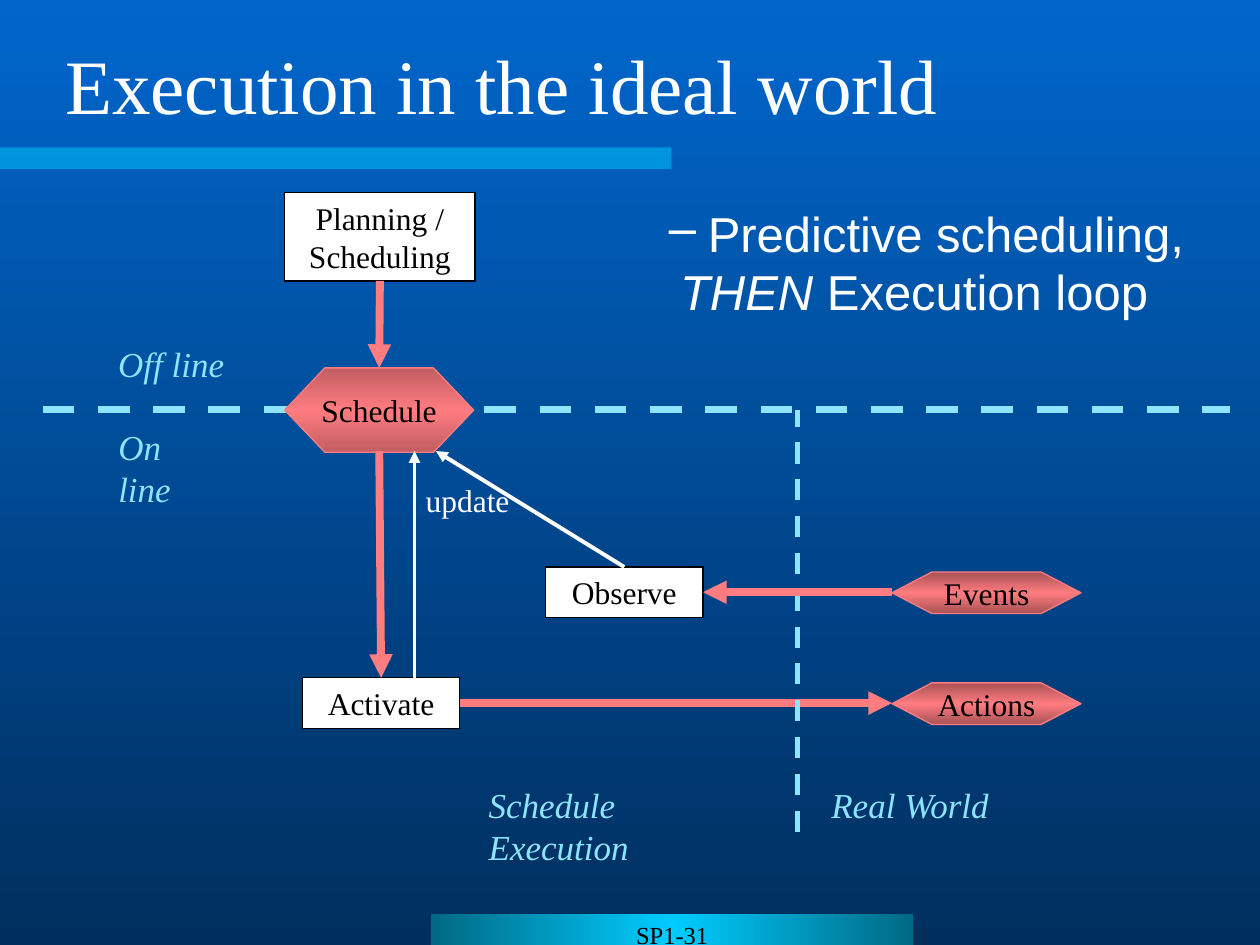
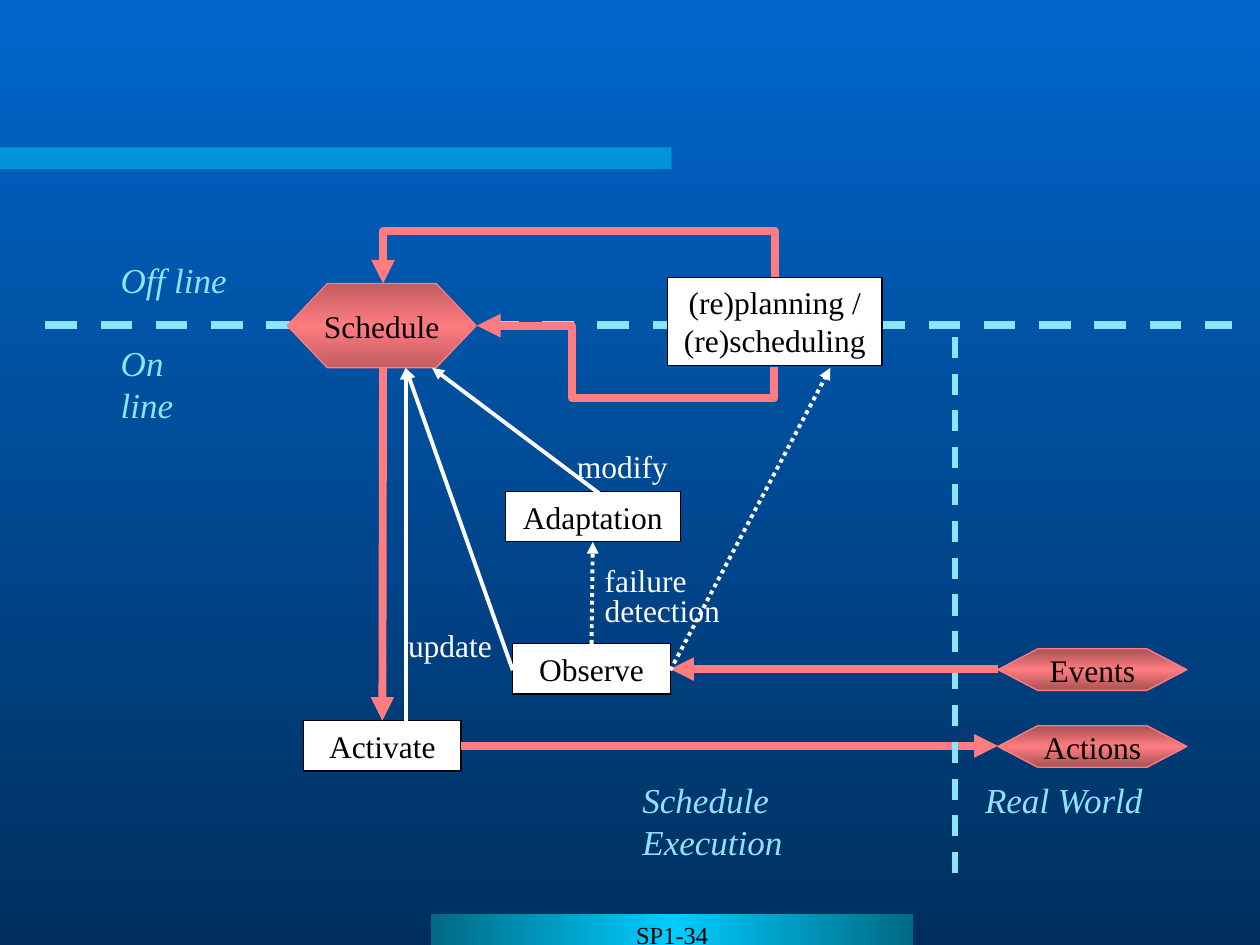
from copy import deepcopy

from lxml import etree
from pptx import Presentation
from pptx.dml.color import RGBColor
from pptx.enum.dml import MSO_LINE
from pptx.enum.shapes import MSO_CONNECTOR, MSO_SHAPE
from pptx.enum.text import MSO_ANCHOR, PP_ALIGN
from pptx.oxml.ns import qn
from pptx.util import Inches, Pt

RECTANGLE, HEXAGON = MSO_SHAPE.RECTANGLE, MSO_SHAPE.HEXAGON
STRAIGHT, ELBOW = MSO_CONNECTOR.STRAIGHT, MSO_CONNECTOR.ELBOW
DASH, DOTS = MSO_LINE.DASH, MSO_LINE.ROUND_DOT
CENTER, LEFT = PP_ALIGN.CENTER, PP_ALIGN.LEFT
TOP_ANCHOR, MIDDLE = MSO_ANCHOR.TOP, MSO_ANCHOR.MIDDLE
TOP, BOTTOM, RIGHT = 0, 2, 3

WHITE, BLACK = "FFFFFF", "000000"
SALMON, SKY, CYAN = "FF7C80", "8DE4FF", "00CCFF"
BACKGROUND = ["0066CC", "002F5E"]
FOOTER = ["006984", CYAN, "006984"]
DARK_ROSE = ["A85154", SALMON, "A85154"]
LIGHT_ROSE = ["C15D61", SALMON, "C15D61"]

SERIF, SANS = "Times New Roman", "Arial"
TITLE = {"name": SERIF, "size": Pt(44), "color": WHITE}
BODY = {"name": SANS, "size": Pt(28), "color": WHITE}
BOX = {"name": SERIF, "size": Pt(18), "color": BLACK}
NOTE = {"name": SERIF, "size": Pt(18), "color": WHITE}
ZONE = {"name": SERIF, "size": Pt(20), "color": SKY, "italic": True}
PAGE = {"name": SERIF, "size": Pt(14), "color": BLACK}

FLOW = {"color": SALMON, "width": Pt(4.5)}
FEEDBACK = {"color": WHITE, "width": Pt(2.25)}
FAILURE = {**FEEDBACK, "dash_style": DOTS}
AXIS = {"color": SKY, "width": Pt(4.5), "dash_style": DASH}
DIVIDER = {"color": SKY, "width": Pt(3), "dash_style": DASH}


def rgb(value):
    return RGBColor.from_string(value)


def apply_format(target, values):
    for name, value in values.items():
        if name == "color":
            target.color.rgb = rgb(value)
        else:
            setattr(target, name, value)


def paint_gradient(fill, colors, angle):
    fill.gradient()
    fill.gradient_angle = angle
    first = fill.gradient_stops[0]._gs
    for _ in colors[2:]:
        first.addnext(deepcopy(first))
    for index, (stop, color) in enumerate(zip(fill.gradient_stops, colors)):
        stop.position = index / (len(colors) - 1)
        stop.color.rgb = rgb(color)


def write(shape, lines, style, align=LEFT, anchor=TOP_ANCHOR, wrap=True, spacing=None):
    frame = shape.text_frame
    frame.word_wrap = wrap
    frame.vertical_anchor = anchor
    for index, line in enumerate(lines):
        paragraph = frame.add_paragraph() if index else frame.paragraphs[0]
        paragraph.alignment = align
        paragraph.line_spacing = spacing
        for text, changes in line if isinstance(line, list) else [(line, {})]:
            run = paragraph.add_run()
            run.text = text
            apply_format(run.font, {**style, **changes})


def add_block(slide, kind, area, outline=None):
    shape = slide.shapes.add_shape(kind, *map(Inches, area))
    shape.shadow.inherit = False
    if outline:
        apply_format(shape.line, {"color": outline, "width": Pt(0.75)})
    else:
        shape.line.fill.background()
    return shape


def add_box(slide, text, left, top, width=1.25, height=0.4):
    box = add_block(slide, RECTANGLE, (left, top, width, height), BLACK)
    box.fill.solid()
    box.fill.fore_color.rgb = rgb(WHITE)
    write(box, [text], BOX, CENTER)
    return box


def add_hexagon(slide, text, left, top, height, point, colors):
    hexagon = add_block(slide, HEXAGON, (left, top, 1.5, height), SALMON)
    hexagon.adjustments[0] = point
    paint_gradient(hexagon.fill, colors, 270)
    write(hexagon, [text], BOX, CENTER, MIDDLE, wrap=False)


def add_text(slide, lines, style, area, **layout):
    box = slide.shapes.add_textbox(*map(Inches, area))
    write(box, lines, style, **layout)
    return box


def add_label(slide, text, left, top, width, style=ZONE):
    add_text(slide, [text], style, (left, top, width, 0.4), wrap=False)


def finish_line(connector, style, arrow=True):
    apply_format(connector.line, style)
    if arrow:
        line = connector.line._get_or_add_ln()
        etree.SubElement(line, qn("a:tailEnd"), type="triangle")
    etree.SubElement(connector._element.spPr, qn("a:effectLst"))


def add_line(slide, start, end, style, arrow=True):
    connector = slide.shapes.add_connector(STRAIGHT, 0, 0, 0, 0)
    if hasattr(start[0], "shape_id"):
        connector.begin_connect(*start)
    else:
        connector.begin_x, connector.begin_y = map(Inches, start)
    if hasattr(end[0], "shape_id"):
        connector.end_connect(*end)
    else:
        connector.end_x, connector.end_y = map(Inches, end)
    finish_line(connector, style, arrow)


def add_elbow(slide, area, preset, quarter_turns, bends, flip=False):
    left, top, width, height = map(Inches, area)
    connector = slide.shapes.add_connector(ELBOW, left, top, left + width, top + height)
    properties = connector._element.spPr
    transform = properties.find(qn("a:xfrm"))
    transform.set("rot", str(quarter_turns * 5400000))
    if flip:
        transform.set("flipV", "1")
    geometry = properties.find(qn("a:prstGeom"))
    geometry.set("prst", preset)
    guides = geometry.find(qn("a:avLst"))
    if guides is None:
        guides = etree.SubElement(geometry, qn("a:avLst"))
    for number, bend in enumerate(bends, 1):
        formula = f"val {round(bend * 100000)}"
        etree.SubElement(guides, qn("a:gd"), name=f"adj{number}", fmla=formula)
    finish_line(connector, FLOW)


def add_slide(presentation, page):
    slide = presentation.slides.add_slide(presentation.slide_layouts[6])
    paint_gradient(slide.background.fill, BACKGROUND, 270)
    band = add_block(slide, RECTANGLE, (0, 1.17, 5.33, 0.17))
    band.fill.solid()
    band.fill.fore_color.rgb = rgb(CYAN)
    color = band._element.spPr.find(".//" + qn("a:srgbClr"))
    etree.SubElement(color, qn("a:alpha"), val="50000")
    footer = add_block(slide, RECTANGLE, (3.42, 7.25, 3.83, 0.25))
    paint_gradient(footer.fill, FOOTER, 0)
    write(footer, [page], PAGE, CENTER)
    return slide


def add_statement(slide, line, left, top, bullet=None):
    box = add_text(slide, [line], BODY, (left, top, 4.96, 0.7))
    properties = box.text_frame.paragraphs[0]._p.get_or_add_pPr()
    properties.set("marL", str(Inches(0.81)))
    properties.set("indent", str(Inches(-0.31)))
    if bullet:
        color = etree.SubElement(properties, qn("a:buClr"))
        etree.SubElement(color, qn("a:srgbClr"), val=WHITE)
        etree.SubElement(properties, qn("a:buChar"), char=bullet)


def draw_timeline(slide, left, axis):
    add_line(slide, (left, axis), (left + 9.42, axis), AXIS, arrow=False)
    add_label(slide, "Off line", left + 0.5, axis - 0.58, 1.04)
    add_label(slide, "On line", left + 0.5, axis + 0.08, 1.02)
    add_hexagon(slide, "Schedule", left + 1.92, axis - 0.33, 0.67, 0.476, LIGHT_ROSE)


def draw_execution(slide, activate_at, observe_at, world_left, divider, zone_at):
    activate = add_box(slide, "Activate", *activate_at)
    actions_top, events_top = activate_at[1] + 0.04, observe_at[1] + 0.04
    add_line(slide, (activate, RIGHT), (world_left, activate_at[1] + 0.2), FLOW)
    zone_left, zone_top = zone_at
    add_label(slide, "Real World", zone_left, zone_top, 1.47)
    add_label(slide, "Schedule Execution", zone_left - 2.72, zone_top, 2.38)
    divider_left, divider_bottom, divider_top = divider
    add_line(slide, (divider_left, divider_bottom), (divider_left, divider_top),
             DIVIDER, arrow=False)
    add_hexagon(slide, "Actions", world_left, actions_top, 0.33, 0.958, DARK_ROSE)
    observe = add_box(slide, "Observe", *observe_at)
    add_line(slide, (world_left, observe_at[1] + 0.2), (observe, RIGHT), FLOW)
    add_hexagon(slide, "Events", world_left, events_top, 0.33, 0.958, DARK_ROSE)
    return activate, observe


def build_ideal_world(presentation):
    slide = add_slide(presentation, "SP1-31")
    add_text(slide, ["Execution in the ideal world"], TITLE,
             (0.42, 0.25, 9.25, 0.83), anchor=MIDDLE)
    activate, observe = draw_execution(
        slide, (2.4, 5.38), (4.33, 4.5), 7.08, (6.33, 6.6, 3.25), (6.5, 6.17))
    draw_timeline(slide, 0.34, 3.25)
    planning = add_box(slide, "Planning / Scheduling", 2.26, 1.53, 1.51, 0.7)
    add_line(slide, (planning, BOTTOM), (3.01, 2.92), FLOW)
    add_line(slide, (3.01, 3.58), (activate, TOP), FLOW)
    add_line(slide, (3.29, 5.38), (3.29, 3.58), FEEDBACK)
    add_line(slide, (observe, TOP), (3.46, 3.58), FEEDBACK)
    add_label(slide, "update", 3.28, 3.77, 0.87, NOTE)
    add_statement(slide, "Predictive scheduling,", 4.71, 1.57, "–")
    add_statement(slide, [("THEN", {"italic": True}), (" Execution loop", {})], 4.8, 2.03)


def build_rescheduling(presentation):
    slide = add_slide(presentation, "SP1-34")
    activate, observe = draw_execution(
        slide, (2.41, 5.72), (4.07, 5.11), 7.92, (7.58, 6.93, 2.58), (7.72, 6.13))
    add_line(slide, (3.04, 2.92), (activate, TOP), FLOW)
    add_line(slide, (3.22, 5.72), (3.22, 2.92), FEEDBACK)
    add_line(slide, (4.07, 5.32), (3.22, 2.92), FEEDBACK)
    add_label(slide, "update", 3.14, 4.92, 0.87, NOTE)
    draw_timeline(slide, 0.36, 2.58)
    add_elbow(slide, (4.57, 0.67, 0.05, 3.11), "bentConnector3", 1, [-7.4])
    add_line(slide, (5.32, 5.32), (6.59, 2.92), FAILURE)
    add_elbow(slide, (4.8, 1.57, 0.33, 2.36), "bentConnector4", 3, [-0.75, 0.68], flip=True)
    add_box(slide, "(re)planning / (re)scheduling", 5.3, 2.2, 1.7, 0.7)
    adaptation = add_box(slide, "Adaptation", 4.01, 3.9, 1.39)
    add_line(slide, (observe, TOP), (adaptation, BOTTOM), FAILURE)
    add_line(slide, (5, 4.1), (3.43, 2.92), FEEDBACK)
    add_label(slide, "modify", 4.48, 3.5, 0.92, NOTE)
    add_text(slide, ["failure", "detection"], NOTE, (4.7, 4.46, 1.12, 0.58),
             wrap=False, spacing=0.8)


def main():
    presentation = Presentation()
    presentation.slide_width = Inches(10)
    presentation.slide_height = Inches(7.5)
    build_ideal_world(presentation)
    build_rescheduling(presentation)
    presentation.save("out.pptx")


if __name__ == "__main__":
    main()
